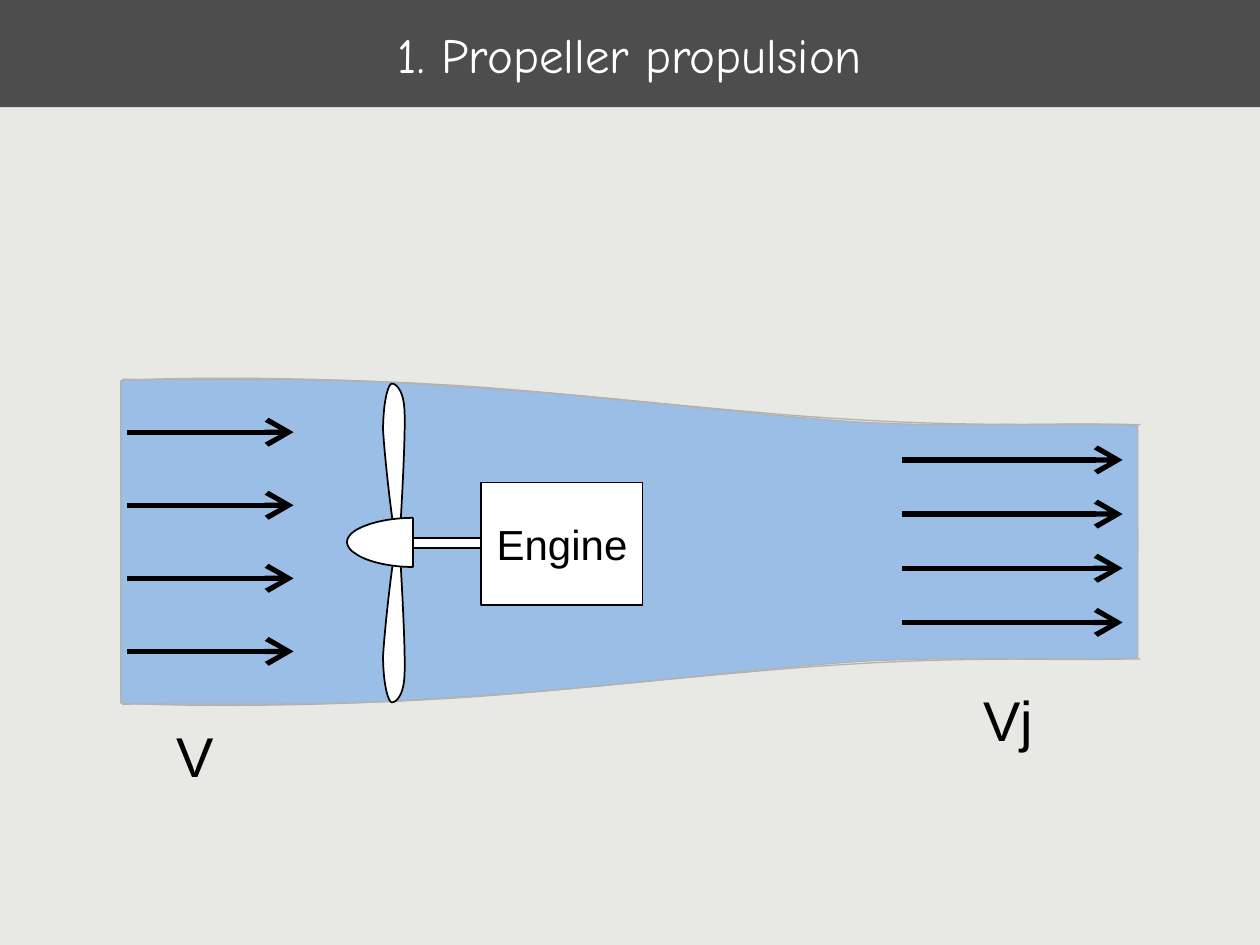
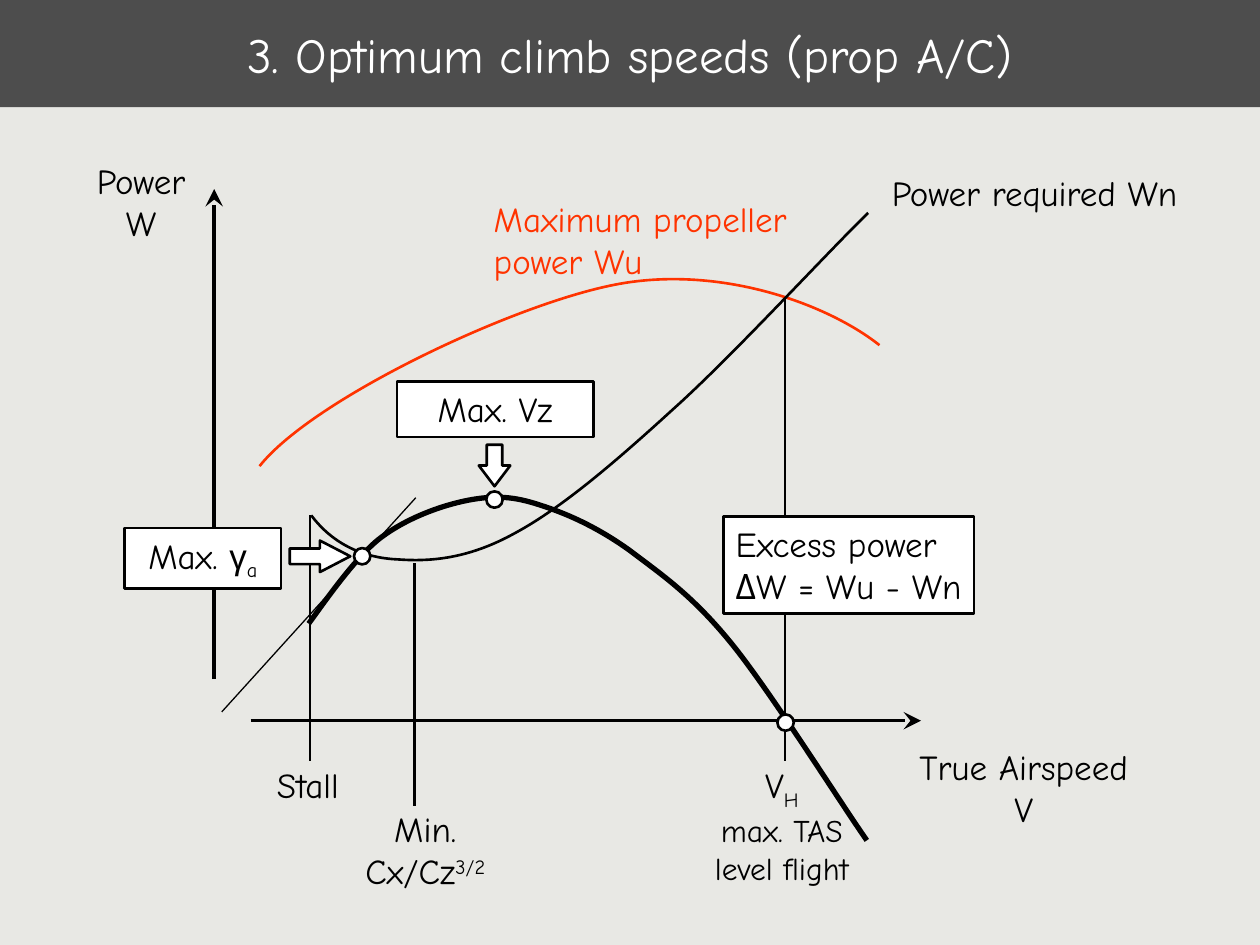
"""Build two slides on propeller propulsion and optimum climb speeds."""
from dataclasses import dataclass

import lxml.etree
import pptx
import pptx.dml.color
import pptx.enum.shapes
import pptx.enum.text
import pptx.oxml.ns
import pptx.util

Inches = pptx.util.Inches
Pt = pptx.util.Pt
qn = pptx.oxml.ns.qn
PRESET = pptx.enum.shapes.MSO_SHAPE
ALIGN = pptx.enum.text.PP_ALIGN
ANCHOR = pptx.enum.text.MSO_ANCHOR
FIT = pptx.enum.text.MSO_AUTO_SIZE
Point = tuple[float, float]

COLORS = {
    "background": "E8E8E4",
    "band": "4D4D4D",
    "air": "9ABEE6",
    "air edge": "B2B2B2",
    "ink": "000000",
    "paper": "FFFFFF",
    "propeller": "FF3300",
}
HAND = "Comic Neue"
PLAIN = "Arial"


@dataclass
class Span:
    text: str
    baseline: int = 0
    font: str = ""
    size: int = 0


@dataclass
class Label:
    at: tuple[float, float, float, float]
    lines: list[list[Span]]
    size: int = 20
    font: str = HAND
    color: str = "ink"
    align: ALIGN = ALIGN.CENTER
    anchor: ANCHOR = ANCHOR.TOP
    wrap: bool = False
    boxed: bool = False
    border: float = 1.5
    fit: FIT = FIT.NONE


@dataclass
class Stroke:
    start: Point
    end: Point
    width: float = 1.5
    head: str = ""


@dataclass
class Flow:
    left: float
    right: float
    top: float
    pitch: float


@dataclass
class Curve:
    points: list[Point]
    color: str = "ink"
    width: float = 1.5
    fill: str = ""


def rgb(name: str) -> pptx.dml.color.RGBColor:
    """Return a named colour."""
    return pptx.dml.color.RGBColor.from_string(COLORS[name])


def plain(*lines: str) -> list[list[Span]]:
    """Turn strings into lines of one span each."""
    return [[Span(line)] for line in lines]


def paint(shape, fill: str = "", line: str = "ink", width: float = 1) -> None:
    """Set fill, outline and no shadow."""
    shape.shadow.inherit = False
    if fill:
        shape.fill.solid()
        shape.fill.fore_color.rgb = rgb(fill)
    else:
        shape.fill.background()
    shape.line.color.rgb = rgb(line)
    shape.line.width = Pt(width)


def add_preset(slide, kind, at, width: float = 1.5, adjustments=()):
    """Draw a white preset shape with a black outline."""
    shape = slide.shapes.add_shape(kind, *map(Inches, at))
    paint(shape, "paper", width=width)
    for index, value in enumerate(adjustments):
        shape.adjustments[index] = value
    return shape


def add_label(slide, label: Label) -> None:
    """Write a label, in a white box if asked."""
    if label.boxed:
        holder = add_preset(slide, PRESET.RECTANGLE, label.at, label.border)
    else:
        holder = slide.shapes.add_textbox(*map(Inches, label.at))
    frame = holder.text_frame
    frame.word_wrap = label.wrap
    frame.auto_size = label.fit
    frame.vertical_anchor = label.anchor
    if not label.wrap:
        frame.margin_right = 0
        frame.margin_left = 0 if label.align == ALIGN.CENTER else Inches(0.1)
    for index, spans in enumerate(label.lines):
        paragraph = frame.paragraphs[0] if index == 0 else frame.add_paragraph()
        paragraph.alignment = label.align
        for span in spans:
            run = paragraph.add_run()
            run.text = span.text
            run.font.name = span.font or label.font
            run.font.size = Pt(span.size or label.size)
            run.font.color.rgb = rgb(label.color)
            if span.baseline:
                run.font._element.set("baseline", str(span.baseline * 1000))


def add_stroke(slide, stroke: Stroke) -> None:
    """Draw a straight line, with a large arrowhead if asked."""
    connector = slide.shapes.add_connector(
        pptx.enum.shapes.MSO_CONNECTOR.STRAIGHT,
        *map(Inches, stroke.start + stroke.end))
    connector.line.color.rgb = rgb("ink")
    connector.line.width = Pt(stroke.width)
    if stroke.head:
        lxml.etree.SubElement(connector.line._get_or_add_ln(), qn("a:tailEnd"),
                              type=stroke.head, w="lg", len="lg")
    lxml.etree.SubElement(connector._element.spPr, qn("a:effectLst"))


def straight(start: Point, end: Point) -> list[Point]:
    """Return a straight side as the points of a cubic curve."""
    return [start, start, end, end]


def mirror(points: list[Point], axis: float) -> list[Point]:
    """Reflect points in a horizontal axis."""
    return [(x, 2 * axis - y) for x, y in points]


def add_curve(slide, curve: Curve) -> None:
    """Draw joined cubic curves given as start, then control, control, end."""
    corners = [(Inches(x), Inches(y)) for x, y in curve.points]
    builder = slide.shapes.build_freeform(*corners[0])
    builder.add_line_segments(corners[1:], close=False)
    shape = builder.convert_to_shape()
    outline = next(shape._element.iter(qn("a:path")))
    sides = outline.findall(qn("a:lnTo"))
    for first in range(0, len(sides), 3):
        cubic = lxml.etree.SubElement(outline, qn("a:cubicBezTo"))
        for side in sides[first:first + 3]:
            cubic.append(side[0])
            outline.remove(side)
    paint(shape, curve.fill, curve.color, curve.width)


def add_titled_slide(deck, heading: str):
    """Add a slide with its title in the dark band."""
    slide = deck.slides.add_slide(deck.slide_layouts[5])
    title = slide.shapes.title
    title.left, title.top, title.width, title.height = map(Inches, (0, 0, 10, 0.85))
    title.fill.solid()
    title.fill.fore_color.rgb = rgb("band")
    frame = title.text_frame
    frame.text = heading
    frame.auto_size = FIT.NONE
    frame.vertical_anchor = ANCHOR.MIDDLE
    paragraph = frame.paragraphs[0]
    paragraph.alignment = ALIGN.CENTER
    font = paragraph.runs[0].font
    font.name, font.size, font.color.rgb = HAND, Pt(28), rgb("paper")
    return slide


def build_propulsion(deck) -> None:
    """Draw the stream tube with propeller and engine."""
    slide = add_titled_slide(deck, "1. Propeller propulsion")
    tube_axis, shaft_axis = 4.3, 4.31
    inlet = straight((0.96, 4.44), (0.96, 3.02))
    tube_wall = [
        (1.47, 2.99), (2.67, 2.99), (3.65, 3.07), (4.62, 3.12), (5.92, 3.29),
        (6.82, 3.35), (7.71, 3.4), (8.62, 3.34)]
    outlet = straight((9.03, 3.38), (9.03, 4.39))
    upper_half = inlet + tube_wall + outlet
    stream_edge = [
        (0.97, 3.01), (1.38, 3.02), (2.48, 2.99), (3.45, 3.05), (4.41, 3.1),
        (5.85, 3.28), (6.78, 3.33), (7.71, 3.39), (8.58, 3.36), (9.05, 3.37)]
    for half in (mirror(upper_half, tube_axis), upper_half):
        add_curve(slide, Curve(half, "air edge", 0.75, "air"))

    for at, speed in (((1.3, 5.67, 0.49, 0.64), "V"), ((7.71, 5.39, 0.59, 0.64), "Vj")):
        add_label(slide, Label(at, plain(speed), 32, PLAIN, anchor=ANCHOR.MIDDLE))
    for flow in (Flow(1.01, 2.33, 3.43, 0.58), Flow(7.16, 8.91, 3.65, 0.43)):
        for row in range(4):
            height = flow.top + row * flow.pitch
            add_stroke(slide, Stroke((flow.left, height), (flow.right, height), 3, "arrow"))
    for edge in (stream_edge, mirror(stream_edge, tube_axis)):
        add_curve(slide, Curve(edge, "air edge", 0.75))

    add_preset(slide, PRESET.RECTANGLE, (3.17, 4.27, 0.65, 0.08), 1)
    add_label(slide, Label((3.82, 3.83, 1.28, 0.97), plain("Engine"), 24, PLAIN,
                           anchor=ANCHOR.MIDDLE, boxed=True, border=1))
    blade = [
        (3.12, 4.16), (3.1, 4.04), (3.05, 3.6), (3.04, 3.41), (3.04, 3.23), (3.07, 3.08),
        (3.1, 3.05), (3.12, 3.03), (3.2, 3.07), (3.21, 3.25), (3.22, 3.43), (3.19, 3.96),
        (3.18, 4.14)]
    spinner = [
        (3.28, 4.11), (3.09, 4.11), (2.92, 4.15), (2.82, 4.21), (2.73, 4.27), (2.73, 4.34),
        (2.83, 4.4), (2.92, 4.46), (3.1, 4.5), (3.28, 4.5)]
    for outline in (blade, mirror(blade, shaft_axis), spinner):
        add_curve(slide, Curve(outline, width=1, fill="paper"))
    add_stroke(slide, Stroke(spinner[0], spinner[-1], 1))


def build_climb_speeds(deck) -> None:
    """Draw the power curves against airspeed."""
    slide = add_titled_slide(deck, "3. Optimum climb speeds (prop A/C)")
    max_power = Curve([
        (2.06, 3.7), (2.48, 3.17), (4.06, 2.42), (4.88, 2.26), (5.69, 2.1), (6.55, 2.4),
        (6.98, 2.74)], "propeller")
    required_power = Curve([
        (2.47, 4.09), (2.65, 4.33), (2.9, 4.43), (3.16, 4.44), (3.43, 4.46), (3.73, 4.43),
        (4.09, 4.23), (4.46, 4.03), (4.88, 3.67), (5.34, 3.25), (5.81, 2.83), (6.56, 2.01),
        (6.89, 1.69)])
    excess_power = Curve([
        (2.45, 4.95), (2.54, 4.83), (2.81, 4.43), (3.02, 4.27), (3.23, 4.11), (3.51, 4.01),
        (3.72, 3.97), (3.93, 3.93), (4.08, 3.94), (4.29, 4.01), (4.51, 4.08), (4.75, 4.19),
        (5, 4.37), (5.25, 4.56), (5.49, 4.72), (5.8, 5.1), (6.11, 5.48), (6.65, 6.34),
        (6.88, 6.67)], width=3)
    airspeed_axis = Stroke((1.99, 5.72), (7.31, 5.72), 2, "stealth")
    power_axis = Stroke((1.7, 5.39), (1.7, 1.5), 2, "stealth")
    min_drag = Stroke((3.29, 4.47), (3.29, 6.4))
    stall = Stroke((2.46, 4.09), (2.46, 6.04))
    level_flight = Stroke((6.23, 2.37), (6.23, 6.04))
    tangent = Stroke((1.76, 5.65), (3.3, 3.95), 0.75)
    for stroke in (airspeed_axis, power_axis, min_drag, stall, level_flight, tangent):
        add_stroke(slide, stroke)
    for curve in (max_power, required_power, excess_power):
        add_curve(slide, curve)

    labels = [
        Label((3.82, 1.52, 2.53, 0.77), plain("Maximum propeller", "power Wu"),
              color="propeller", align=ALIGN.LEFT),
        Label((0.66, 1.22, 0.92, 0.76), plain("Power", "W")),
        Label((7.2, 5.87, 1.85, 0.76), plain("True Airspeed", "V")),
        Label((6.98, 1.31, 2.5, 0.44), plain("Power required Wn"), align=ALIGN.LEFT),
        Label((2.8, 6.36, 1.15, 0.76), [[Span("Min.")], [Span("Cx/Cz"), Span("3/2", 30)]]),
        Label((2.1, 6.01, 0.7, 0.43), plain("Stall"), align=ALIGN.LEFT),
        Label((5.43, 6.01, 1.55, 1.08),
              [[Span("V"), Span("H", -25)], [Span("max. TAS", size=18)],
               [Span("level flight", size=18)]], wrap=True),
        Label((5.74, 4.1, 1.99, 0.77), plain("Excess power", "ΔW = Wu - Wn"),
              align=ALIGN.LEFT, boxed=True),
        Label((3.15, 3.03, 1.56, 0.44), plain("Max. Vz"), wrap=True, boxed=True),
        Label((0.99, 4.19, 1.24, 0.48),
              [[Span("Max. "), Span("γ", font=PLAIN), Span("a", -25)]],
              wrap=True, boxed=True),
    ]
    for label in labels:
        add_label(slide, label)

    add_preset(slide, PRESET.DOWN_ARROW, (3.8, 3.53, 0.25, 0.33), adjustments=(0.495, 0.659))
    add_preset(slide, PRESET.RIGHT_ARROW, (2.3, 4.29, 0.48, 0.25), adjustments=(0.495, 0.963))
    for left, top in ((6.17, 5.67), (3.86, 3.9), (2.81, 4.35)):
        add_preset(slide, PRESET.OVAL, (left, top, 0.13, 0.13))


def main() -> None:
    """Build and save the deck."""
    deck = pptx.Presentation()
    deck.slide_width, deck.slide_height = Inches(10), Inches(7.5)
    backdrop = deck.slide_master.background.fill
    backdrop.solid()
    backdrop.fore_color.rgb = rgb("background")
    build_propulsion(deck)
    build_climb_speeds(deck)
    deck.save("out.pptx")


if __name__ == "__main__":
    main()
